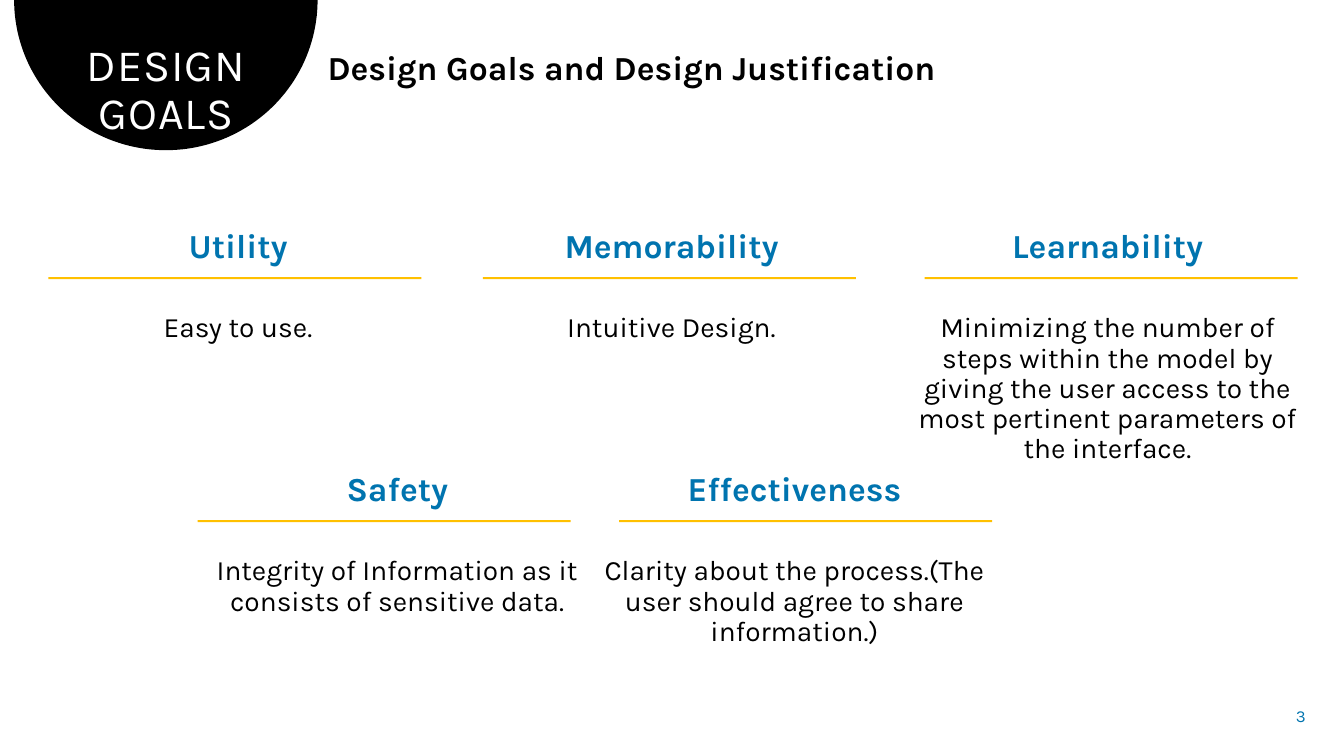
"""Build the design goals slide."""
from dataclasses import dataclass
from math import cos, pi, sin

from pptx import Presentation, util as u
from pptx.dml.color import RGBColor
from pptx.enum import shapes, text

TITLE = "DESIGN GOALS"
SUBTITLE = "Design Goals and Design Justification"
PAGE_NUMBER = "3"

# name, explanation, row, then box left, box width, box height, rule left in percent
GOALS = [
    ("Utility", "Easy to use.", 0, 2.48, 30.46, 29.6, 3.6),
    ("Memorability", "Intuitive Design.", 0, 34.21, 31.51, 29.6, 35.93),
    ("Learnability", "Minimizing the number of steps within the model by giving the user "
     "access to the most pertinent parameters of the interface.", 0, 66.92, 30.98, 45.73, 68.79),
    ("Safety", "Integrity of Information as it consists of sensitive data.",
     1, 14.33, 30.46, 25.47, 14.7),
    ("Effectiveness", "Clarity about the process.(The user should agree to share information.)",
     1, 43.89, 30.46, 29.47, 46.06),
]
ROW_TOPS = (25.07, 57.2)
RULE_DROP, RULE_WIDTH, RULE_HEIGHT = 11.6, 27.76, 0.27
TITLE_BOX = (2.63, 4.93, 19.5, 14.27)
SUBTITLE_BOX = (23.63, 6.13, 74.49, 6.13)
NUMBER_BOX = (93.77, 92.13, 4.13, 5.33)
DOME_CENTRE, DOME_RADIUS_X, DOME_RADIUS_Y, DOME_STEPS = 12.34, 11.29, 19.87, 90


@dataclass(frozen=True)
class Theme:
    font: str = "Karla"
    black: str = "000000"
    white: str = "FFFFFF"
    blue: str = "0074AF"
    gold: str = "FFC000"
    title: int = 32
    heading: int = 24
    body: int = 20
    number: int = 12
    line_spacing: float = 0.9


THEME = Theme()
presentation = Presentation()
presentation.slide_width, presentation.slide_height = u.Inches(13.33), u.Inches(7.5)


def place(left, top, width, height):
    across, down = presentation.slide_width / 100, presentation.slide_height / 100
    return [int(value) for value in (left * across, top * down, width * across, height * down)]


def paint(shape, colour):
    shape.shadow.inherit = False
    shape.fill.solid()
    shape.fill.fore_color.rgb = RGBColor.from_string(colour)
    shape.line.fill.background()


def write(paragraph, words, size, colour, bold=False, align=text.PP_ALIGN.CENTER):
    paragraph.text = words
    paragraph.alignment = align
    paragraph.line_spacing = THEME.line_spacing
    font = paragraph.font
    font.name, font.size, font.bold = THEME.font, u.Pt(size), bold
    font.color.rgb = RGBColor.from_string(colour)


def add_box(slide, box, anchor=text.MSO_ANCHOR.TOP):
    frame = slide.shapes.add_textbox(*place(*box)).text_frame
    frame.word_wrap = True
    frame.vertical_anchor = anchor
    return frame


def add_dome(slide):
    angles = [pi * step / DOME_STEPS for step in range(DOME_STEPS + 1)]
    points = [place(DOME_CENTRE + DOME_RADIUS_X * cos(angle), DOME_RADIUS_Y * sin(angle), 0, 0)[:2]
              for angle in angles]
    builder = slide.shapes.build_freeform(*points[0])
    builder.add_line_segments(points[1:], close=True)
    paint(builder.convert_to_shape(), THEME.black)


def add_title(slide):
    title = slide.shapes.title
    title.left, title.top, title.width, title.height = place(*TITLE_BOX)
    frame = title.text_frame
    frame.word_wrap, frame.auto_size = True, text.MSO_AUTO_SIZE.NONE
    frame.vertical_anchor = text.MSO_ANCHOR.TOP
    paragraph = frame.paragraphs[0]
    write(paragraph, TITLE, THEME.title, THEME.white)
    paragraph.runs[0].font._element.set("spc", "60")
    tree = title._element.getparent()
    tree.append(title._element)


def add_goal(slide, name, explanation, row, left, width, height, rule_left):
    top = ROW_TOPS[row]
    frame = add_box(slide, (left, top, width, height))
    frame.margin_top = u.Inches(0.4)
    heading, detail = frame.paragraphs[0], frame.add_paragraph()
    write(heading, name, THEME.heading, THEME.blue, bold=True)
    heading.space_after = u.Pt(24)
    write(detail, explanation, THEME.body, THEME.black)
    detail.space_before, detail.space_after = u.Pt(10), u.Pt(12)
    rule = slide.shapes.add_shape(shapes.MSO_SHAPE.RECTANGLE,
                                  *place(rule_left, top + RULE_DROP, RULE_WIDTH, RULE_HEIGHT))
    paint(rule, THEME.gold)


def main():
    slide = presentation.slides.add_slide(presentation.slide_layouts[5])
    add_dome(slide)
    add_title(slide)
    subtitle = add_box(slide, SUBTITLE_BOX, text.MSO_ANCHOR.MIDDLE)
    write(subtitle.paragraphs[0], SUBTITLE, THEME.heading, THEME.black, True, text.PP_ALIGN.LEFT)
    for goal in GOALS:
        add_goal(slide, *goal)
    number = add_box(slide, NUMBER_BOX, text.MSO_ANCHOR.MIDDLE)
    write(number.paragraphs[0], PAGE_NUMBER, THEME.number, THEME.blue, align=text.PP_ALIGN.RIGHT)
    presentation.save("out.pptx")


if __name__ == "__main__":
    main()
